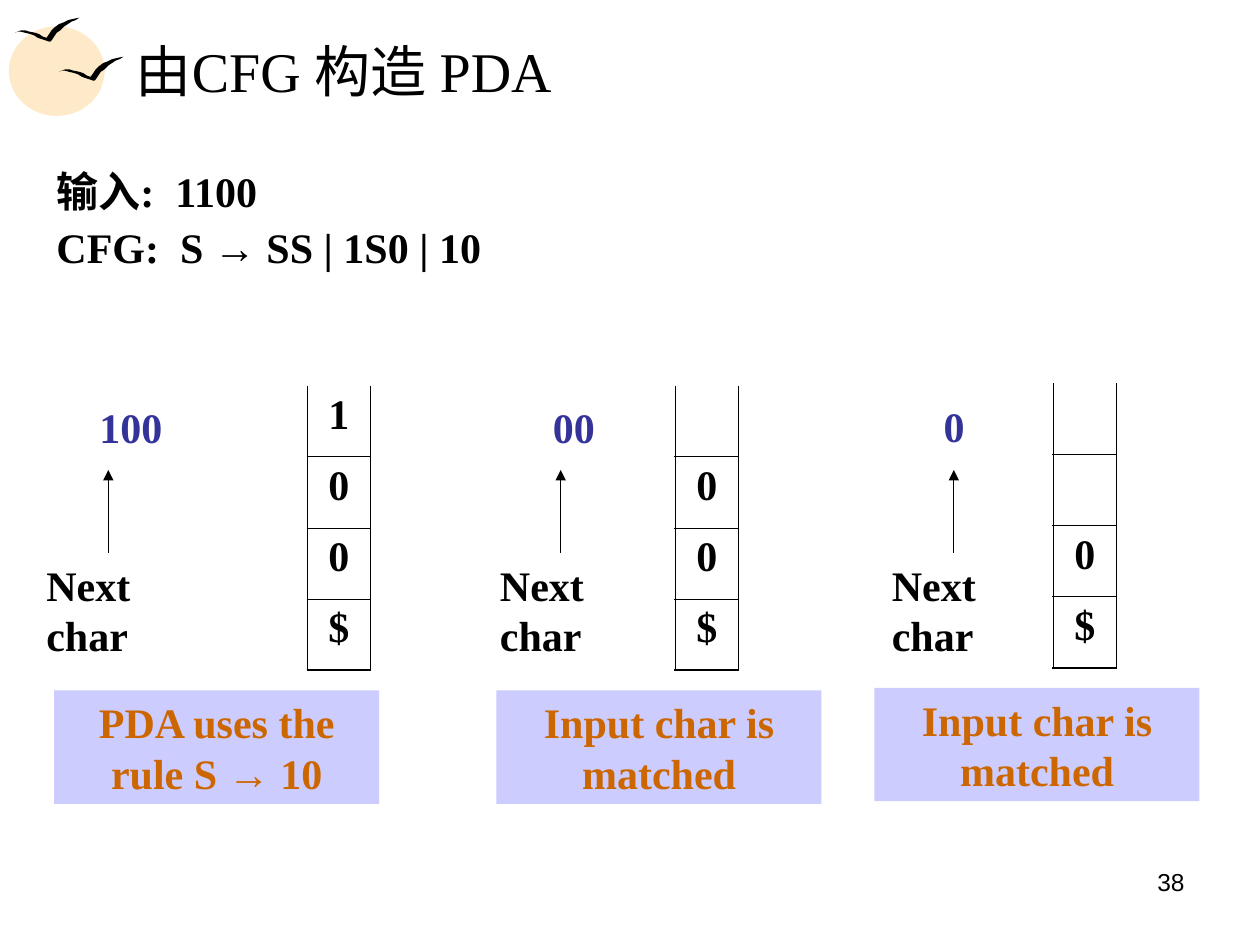
from lxml import etree
from pptx import Presentation
from pptx import util as u
from pptx.dml.color import RGBColor
from pptx.enum import shapes, text
from pptx.oxml.ns import qn

Inches, Pt = u.Inches, u.Pt
HUES = {"ink": "000000", "sun": "FEE9C8", "blue": "333399",
        "rust": "CC6600", "lilac": "CCCCFF"}
SERIF, SANS = "Times New Roman", "Arial"
LEFT, MID, RIGHT = text.PP_ALIGN.LEFT, text.PP_ALIGN.CENTER, text.PP_ALIGN.RIGHT


def rgb(name):
    return RGBColor.from_string(HUES[name])


def write(frame, lines, hue="ink", size=24, bold=True, font=SERIF, align=LEFT):
    """Fill a text frame; arrows become runs of their own in the sans font."""
    frame.word_wrap = True
    for n, line in enumerate(lines):
        para = frame.paragraphs[0] if n == 0 else frame.add_paragraph()
        para.alignment = align
        for part in line.replace("→", "\t→\t").split("\t"):
            run = para.add_run()
            run.text = part
            run.font.name = SANS if part == "→" else font
            run.font.size = Pt(size)
            run.font.bold = bold
            run.font.color.rgb = rgb(hue)


deck = Presentation()
deck.slide_width, deck.slide_height = Inches(10), Inches(7.5)
slide = deck.slides.add_slide(deck.slide_layouts[6])
parts = slide.shapes

# Sun
for box in [(0.07, 0.21, 0.76, 0.71), (0.2, 0.28, 0.63, 0.55)]:
    sun = parts.add_shape(shapes.MSO_SHAPE.OVAL, *map(Inches, box))
    sun.shadow.inherit = False
    sun.fill.solid()
    sun.fill.fore_color.rgb = rgb("sun")
    sun.line.fill.background()

# Birds: one outline, in hundredths of an inch, drawn at two spots
wing = [(0, 12), (2, 11), (5, 10), (8, 10), (11, 11), (16, 12), (19, 13),
        (22, 15), (25, 16), (27, 13), (29, 10), (31, 8), (35, 5), (38, 4),
        (42, 2), (46, 1), (51, 0), (48, 2), (45, 3), (42, 5), (39, 7),
        (36, 10), (33, 12), (31, 15), (29, 18), (28, 19), (27, 19), (24, 18),
        (21, 17), (18, 16), (15, 14), (12, 13), (8, 12), (4, 11), (2, 11)]
for x, y in [(0.47, 0.45), (0.12, 0.14)]:
    pen = parts.build_freeform(wing[0][0], wing[0][1], scale=Inches(0.01))
    pen.add_line_segments(wing[1:], close=True)
    bird = pen.convert_to_shape(Inches(x), Inches(y))
    bird.shadow.inherit = False
    bird.fill.solid()
    bird.fill.fore_color.rgb = rgb("ink")
    bird.line.fill.background()

# Page number, title and grammar
page = parts.add_textbox(Inches(7.17), Inches(6.83), Inches(2.33), Inches(0.52))
write(page.text_frame, ["38"], size=14, bold=False, font=SANS, align=RIGHT)

title = parts.add_textbox(Inches(0.98), Inches(0.21), Inches(8.53), Inches(0.69))
title.text_frame.vertical_anchor = text.MSO_ANCHOR.MIDDLE
write(title.text_frame, ["由CFG 构造 PDA"], size=32, bold=False)

body = parts.add_textbox(Inches(0.35), Inches(1.31), Inches(9.37), Inches(1.02))
write(body.text_frame, ["输入:  1100", "CFG:  S → SS | 1S0 | 10"])
for para in body.text_frame.paragraphs:
    para.line_spacing = 0.9
body.text_frame.paragraphs[1].space_before = Pt(6)

# Steps: input left, its x, y and width; arrow x; label x and width;
# stack, its x and y; note, its x and y
steps = [
    ("100", 0.69, 3.14, 1.5, 0.86, 0.27, 1.5,
     "100$", 2.44, 3.06, "PDA uses the rule S → 10", 0.43, 5.48),
    ("00", 4.29, 3.14, 0.87, 4.45, 3.87, 1.5,
     " 00$", 5.36, 3.06, "Input char is matched", 3.94, 5.48),
    ("0", 7.39, 3.13, 0.68, 7.57, 6.98, 1.15,
     "  0$", 8.36, 3.04, "Input char is matched", 6.94, 5.46),
]
for (rest, rx, ry, rw, ax, lx, lw, stack, sx, sy, note, nx, ny) in steps:
    # Input still to be read
    feed = parts.add_textbox(Inches(rx), Inches(ry), Inches(rw), Inches(0.5))
    write(feed.text_frame, [rest], hue="blue")

    # Stack, open at the top
    rows = len(stack)
    grid = parts.add_table(rows, 1, Inches(sx), Inches(sy),
                           Inches(0.5), Inches(0.565 * rows)).table
    grid.first_row = grid.horz_banding = False
    for n, mark in enumerate(stack):
        cell = grid.cell(n, 0)
        props = cell._tc.get_or_add_tcPr()
        edges = {"lnL": 1.08, "lnR": 1.08, "lnT": 0.45 if n else 0,
                 "lnB": 0.45 if n < rows - 1 else 1.08}
        for tag, wide in edges.items():
            edge = etree.SubElement(props, qn("a:" + tag), w=str(Pt(wide)))
            if wide:
                fill = etree.SubElement(edge, qn("a:solidFill"))
                etree.SubElement(fill, qn("a:srgbClr"), val=HUES["ink"])
            else:
                etree.SubElement(edge, qn("a:noFill"))
        cell.fill.background()
        if mark != " ":
            write(cell.text_frame, [mark], align=MID)

    # Note
    card = parts.add_shape(shapes.MSO_SHAPE.RECTANGLE, Inches(nx), Inches(ny),
                           Inches(2.58), Inches(0.9))
    card.shadow.inherit = False
    card.fill.solid()
    card.fill.fore_color.rgb = rgb("lilac")
    card.line.fill.background()
    card.text_frame.vertical_anchor = text.MSO_ANCHOR.TOP
    write(card.text_frame, [note], hue="rust", align=MID)

    # Arrow up to the next character, and its label
    arrow = parts.add_connector(shapes.MSO_CONNECTOR.STRAIGHT, Inches(ax),
                                Inches(4.39), Inches(ax), Inches(3.73))
    arrow.line.color.rgb = rgb("ink")
    arrow.line.width = Pt(0.75)
    props = arrow._element.spPr
    etree.SubElement(props.find(qn("a:ln")), qn("a:tailEnd"), type="triangle")
    etree.SubElement(props, qn("a:effectLst"))
    label = parts.add_textbox(Inches(lx), Inches(4.39), Inches(lw), Inches(0.9))
    write(label.text_frame, ["Next char"])

deck.save("out.pptx")
